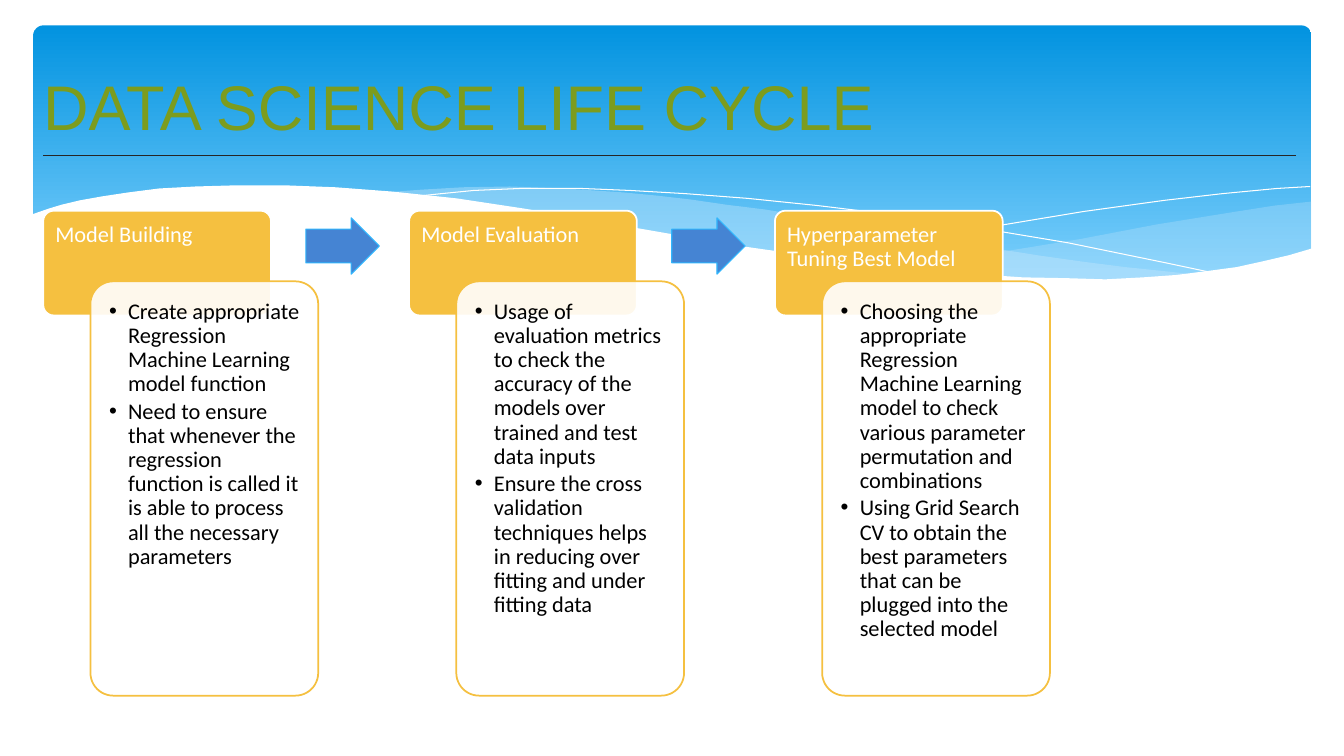
import pptx
import pptx.dml.color
import pptx.enum.shapes
import pptx.enum.text
import pptx.oxml
import pptx.oxml.ns
import pptx.util
from pptx.util import Cm, Pt

KIND = pptx.enum.shapes.MSO_SHAPE
ANCHOR = pptx.enum.text.MSO_ANCHOR
ALIGN = pptx.enum.text.PP_ALIGN
DRAWING_NS = pptx.oxml.ns.nsdecls("a")
COLOURS = {
    "sky": "0293E0", "pale sky": "83D3FE", "mist": "C6E7FC", "white": "FFFFFF",
    "rule": "262626", "title": "7C9C1E", "amber": "F5C040", "black": "000000",
    "arrow": "4584D3", "arrow edge": "31B6FD",
}


def paint(shape, fill=None, alpha=100, line=None, width=0):
    """Set fill, opacity in percent and outline, and drop the shadow."""
    shape.shadow.inherit = False
    if fill:
        shape.fill.solid()
        shape.fill.fore_color.rgb = pptx.dml.color.RGBColor.from_string(COLOURS[fill])
        if alpha < 100:
            colour = shape.fill._xPr.find(".//" + pptx.oxml.ns.qn("a:srgbClr"))
            colour.append(pptx.oxml.parse_xml(f'<a:alpha {DRAWING_NS} val="{alpha * 1000}"/>'))
    else:
        shape.fill.background()
    if line:
        shape.line.color.rgb = pptx.dml.color.RGBColor.from_string(COLOURS[line])
        shape.line.width = Pt(width)
    else:
        shape.line.fill.background()


def write(shape, texts, colour, size, font, frame_format, para_format, bullet=False):
    frame = shape.text_frame
    for name, value in frame_format.items():
        setattr(frame, name, value)
    for index, text in enumerate(texts):
        para = frame.add_paragraph() if index else frame.paragraphs[0]
        for name, value in para_format.items():
            setattr(para, name, value)
        if bullet:
            properties = para._p.get_or_add_pPr()
            properties.set("marL", str(Cm(0.48)))
            properties.set("indent", str(-Cm(0.48)))
            for tag in ('buFont {} typeface="Arial"', 'buChar {} char="•"'):
                properties.append(pptx.oxml.parse_xml(f"<a:{tag.format(DRAWING_NS)}/>"))
        span = para.add_run()
        span.text = text
        for name, value in {"size": Pt(size), "name": font}.items():
            setattr(span.font, name, value)
        span.font.color.rgb = pptx.dml.color.RGBColor.from_string(COLOURS[colour])


deck = pptx.Presentation()
deck.slide_width, deck.slide_height = Cm(33.87), Cm(19.05)
page = deck.slides.add_slide(deck.slide_layouts[6])

# Banner
banner = page.shapes.add_shape(KIND.ROUNDED_RECTANGLE, Cm(0.84), Cm(0.64), Cm(32.21), Cm(7.49))
banner.adjustments[0] = 0.034
paint(banner)
banner.fill.gradient()
banner.fill.gradient_angle = 270
for stop, position, colour in zip(banner.fill.gradient_stops, (0, 0.9), ("sky", "pale sky")):
    stop.position = position
    stop.color.rgb = pptx.dml.color.RGBColor.from_string(COLOURS[colour])

# Waves, with points in hundredths of a centimetre
right_wave = [
    (3305, 508), (3213, 518), (3117, 533), (3018, 549), (2913, 566), (2725, 602), (2553, 630),
    (2390, 653), (2240, 673), (2339, 683), (2433, 691), (2563, 701), (2720, 706), (2860, 704),
    (2954, 696), (3038, 686), (3119, 673), (3193, 658), (3261, 640), (3305, 627),
]
middle_wave = [
    (3023, 693), (2931, 683), (2835, 673), (2733, 660), (2626, 645), (2512, 627), (2390, 610),
    (2263, 587), (2131, 564), (2027, 544), (1928, 528), (1831, 516), (1742, 503), (1656, 493),
    (1572, 485), (1422, 475), (1285, 470), (1166, 472), (1062, 478), (970, 485), (1095, 498),
    (1227, 516), (1369, 536), (1521, 564), (1661, 589), (1793, 610), (1918, 630), (2037, 648),
    (2149, 663), (2253, 676), (2352, 686), (2446, 696), (2535, 701), (2657, 706), (2804, 706),
    (2936, 701),
]
falling_curve = [
    (1046, 495), (1113, 488), (1194, 480), (1311, 475), (1466, 475), (1588, 480), (1727, 488),
    (1885, 500), (2060, 518), (2250, 541), (2464, 574), (2692, 612), (2941, 663), (3073, 691),
]
rising_curve = [
    (2078, 653), (2210, 625), (2355, 597), (2532, 566), (2731, 533), (2934, 505), (3081, 488),
    (3218, 475), (3302, 470),
]
white_wave = [
    (3310, 625), (3249, 643), (3185, 658), (3117, 673), (3043, 683), (2964, 693), (2880, 699),
    (2786, 704), (2687, 701), (2578, 699), (2461, 691), (2332, 681), (2192, 665), (2042, 645),
    (1880, 622), (1704, 592), (1514, 559), (1323, 526), (1151, 500), (991, 483), (846, 472),
    (716, 467), (597, 467), (493, 470), (401, 475), (323, 485), (257, 495), (201, 505),
    (155, 516), (122, 526), (79, 541), (79, 836), (3310, 836),
]
for points, look in (
    (right_wave, {"fill": "mist", "alpha": 29}),
    (middle_wave, {"fill": "mist", "alpha": 40}),
    (falling_curve, {"line": "white"}),
    (rising_curve, {"line": "white"}),
    (white_wave, {"fill": "white"}),
):
    outline = page.shapes.build_freeform(*points[0], scale=Cm(0.01))
    outline.add_line_segments(points[1:], close="fill" in look)
    paint(outline.convert_to_shape(), **look)

# Title and rule
rule = page.shapes.add_connector(
    pptx.enum.shapes.MSO_CONNECTOR.STRAIGHT, Cm(1.09), Cm(3.92), Cm(32.66), Cm(3.92))
rule.line.color.rgb = pptx.dml.color.RGBColor.from_string(COLOURS["rule"])
rule.line.width = Pt(1)
rule._element.spPr.append(pptx.oxml.parse_xml(f"<a:effectLst {DRAWING_NS}/>"))
title = page.shapes.add_textbox(Cm(1.09), Cm(0.94), Cm(31.57), Cm(2.79))
write(title, ["DATA SCIENCE LIFE CYCLE"], "title", 45, "Arial",
      {"word_wrap": True, "vertical_anchor": ANCHOR.BOTTOM, "margin_left": 0, "margin_right": 0},
      {"alignment": ALIGN.LEFT})

# Stages
stages = [
    ("Model Building", [
        "Create appropriate Regression Machine Learning model function",
        "Need to ensure that whenever the regression function is called it is able to process "
        "all the necessary parameters"]),
    ("Model Evaluation", [
        "Usage of evaluation metrics to check the accuracy of the models over trained and test "
        "data inputs",
        "Ensure the cross validation techniques helps in reducing over fitting and under "
        "fitting data"]),
    ("Hyperparameter Tuning Best Model", [
        "Choosing the appropriate Regression Machine Learning model to check various parameter "
        "permutation and combinations",
        "Using Grid Search CV to obtain the best parameters that can be plugged into the "
        "selected model"]),
]
para_format = {"alignment": ALIGN.LEFT, "line_spacing": 0.9, "space_after": Pt(2.4)}
for index, (heading, points) in enumerate(stages):
    left = 1.09 + 9.22 * index
    header = page.shapes.add_shape(KIND.ROUNDED_RECTANGLE, Cm(left), Cm(5.31), Cm(5.74), Cm(2.64))
    card = page.shapes.add_shape(
        KIND.ROUNDED_RECTANGLE, Cm(left + 1.19), Cm(7.09), Cm(5.74), Cm(10.44))
    paint(header, fill="amber", line="white", width=1.25)
    paint(card, fill="white", alpha=90, line="amber", width=1.25)
    for shape, texts, colour, margin in (
        (header, [heading], "white", Cm(0.23)), (card, points, "black", Cm(0.3)),
    ):
        shape.adjustments[0] = 0.1
        frame_format = {"word_wrap": True, "vertical_anchor": ANCHOR.TOP, "margin_left": margin,
                        "margin_right": margin, "margin_top": margin, "margin_bottom": margin}
        write(shape, texts, colour, 16, "Calibri", frame_format, para_format, shape is card)
    if index < len(stages) - 1:
        arrow = page.shapes.add_shape(
            KIND.RIGHT_ARROW, Cm(left + 6.62), Cm(5.49), Cm(1.85), Cm(1.42))
        arrow.adjustments[0] = 0.6
        paint(arrow, fill="arrow", line="arrow edge", width=0.75)

deck.save("out.pptx")
